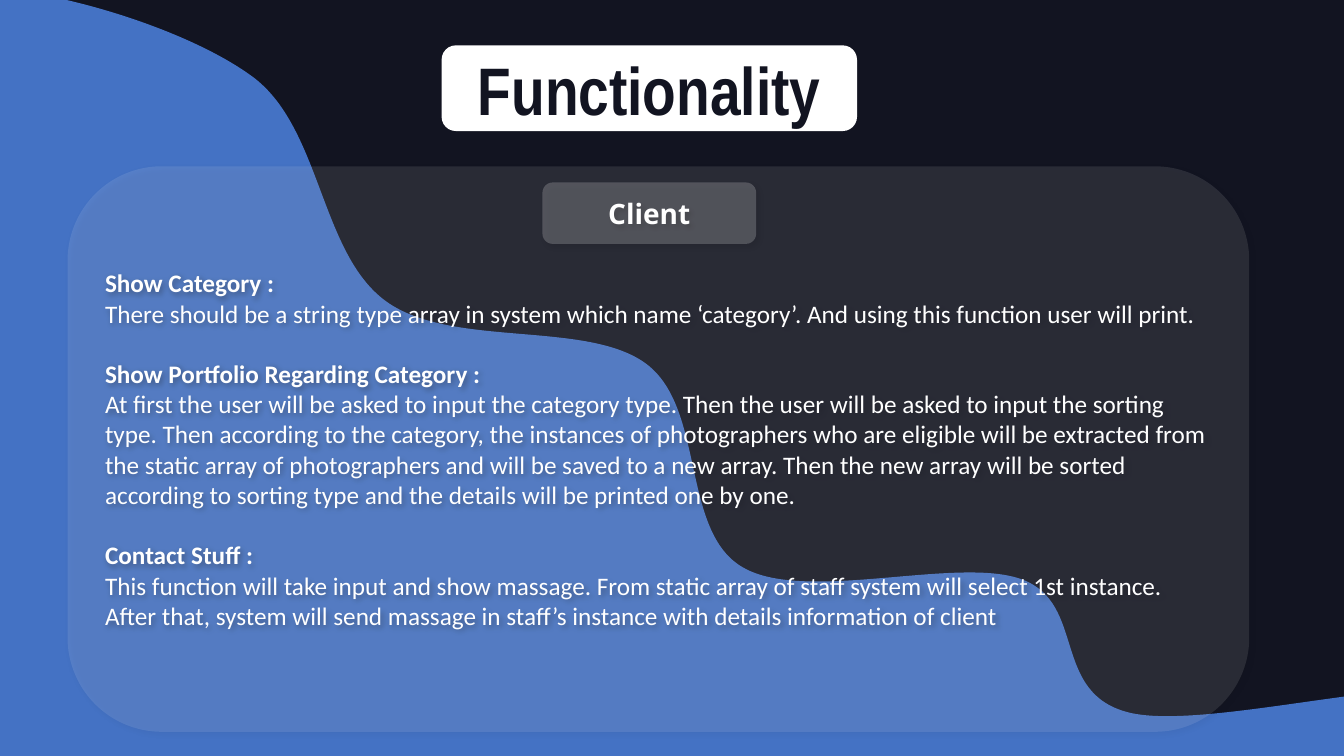
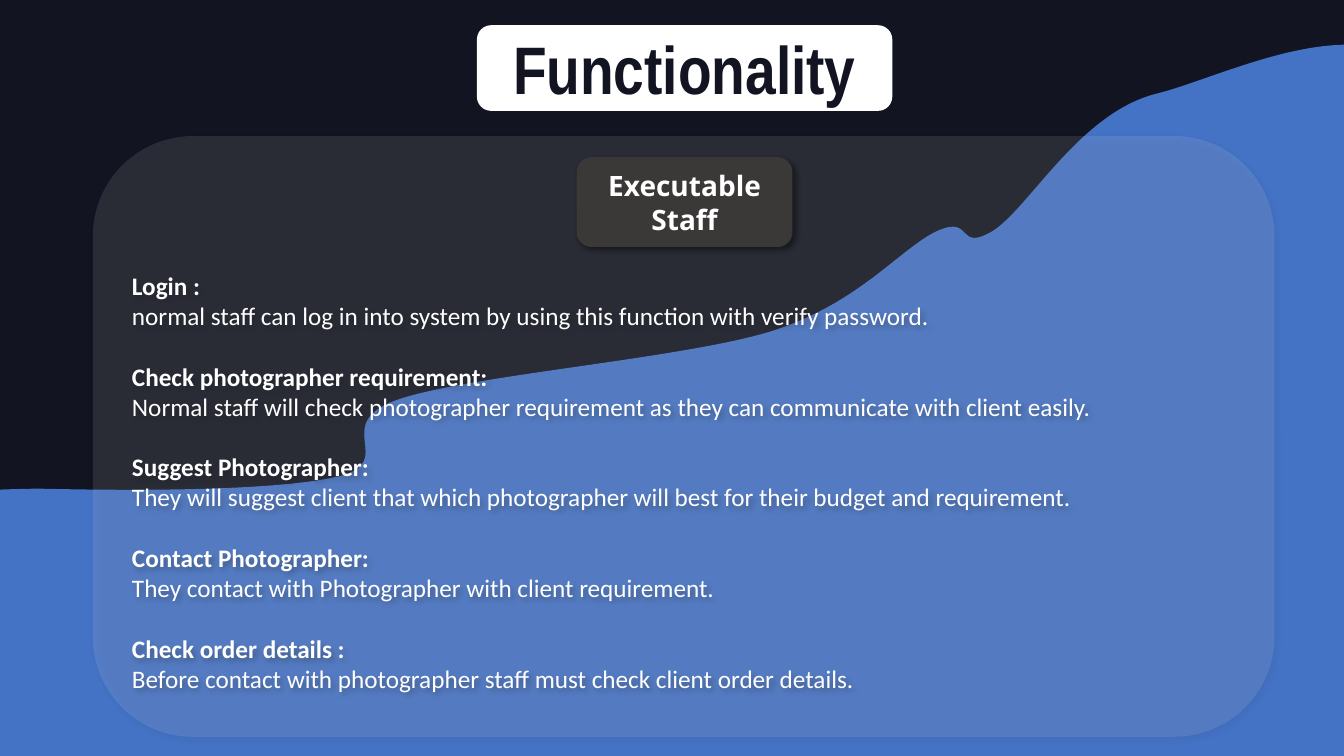
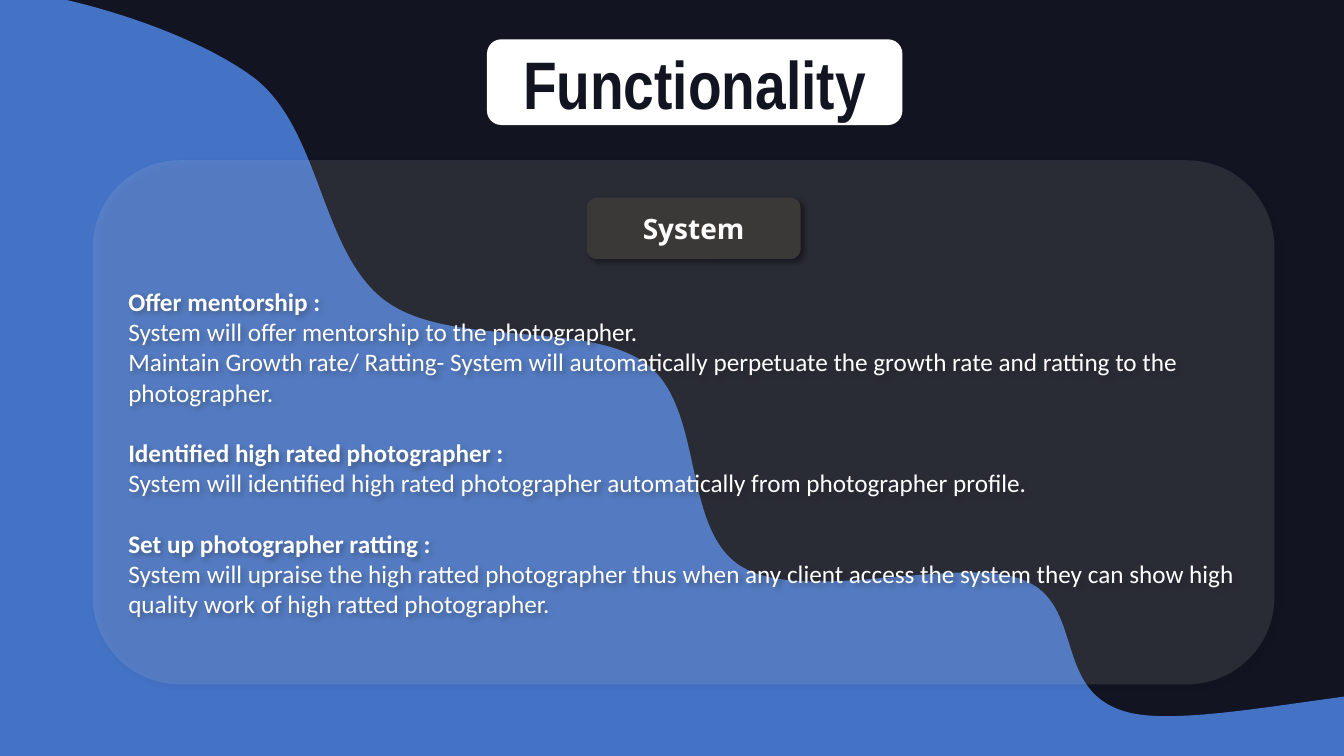
from lxml.etree import SubElement
from pptx import Presentation
from pptx.dml.color import RGBColor
from pptx.enum.shapes import MSO_SHAPE
from pptx.enum.text import MSO_ANCHOR, PP_ALIGN
from pptx.oxml.ns import qn
from pptx.util import Inches, Pt

NAVY = RGBColor(0x12, 0x14, 0x21)
BLUE = RGBColor(0x44, 0x72, 0xC4)
CHARCOAL = RGBColor(0x3B, 0x38, 0x38)
WHITE = RGBColor(0xFF, 0xFF, 0xFF)

TITLE_WIDTH, TITLE_HEIGHT = 4.12, 0.85
PANEL_WIDTH = 11.72
PANEL_INSET = 0.1
BODY_LINE = 21.6  # points taken by one line of body text

# A wave is its frame (left, top, width, height), its start point,
# then cubic curves: two control points and an end.
FALLING_WAVE = (
    (-1.56, -0.11, 16.9, 9.46),
    (-1.45, 2.71),
    (
        (-1.64, 1.55, -1.45, 1.35, -1.24, 0.88),
        (-1.02, 0.41, -0.81, -0.09, -0.18, -0.11),
        (0.45, -0.13, 1.86, 0.27, 2.53, 0.78),
        (3.19, 1.3, 3.18, 2.52, 3.83, 2.99),
        (4.48, 3.46, 5.82, 3.17, 6.41, 3.61),
        (7, 4.05, 6.75, 5.28, 7.37, 5.63),
        (7.99, 5.99, 9.51, 5.51, 10.14, 5.75),
        (10.78, 5.99, 10.42, 6.88, 11.2, 7.07),
        (11.98, 7.26, 14.19, 6.61, 14.83, 6.9),
        (15.48, 7.19, 15.44, 8.38, 15.07, 8.79),
        (14.71, 9.19, 15.09, 9.29, 12.65, 9.34),
        (10.21, 9.4, 2.29, 8.97, -0.06, 7.86),
        (-2.41, 6.76, -1.25, 3.87, -1.45, 2.71),
    ),
)
RISING_WAVE = (
    (-2.02, 0.44, 17.03, 9.23),
    (-1.61, 2.1),
    (
        (-1.87, 1.54, -2.23, 4.14, -1.88, 4.6),
        (-1.53, 5.06, -0.38, 4.83, 0.49, 4.85),
        (1.37, 4.87, 2.8, 4.87, 3.38, 4.72),
        (3.95, 4.57, 3.25, 4.2, 3.96, 3.96),
        (4.68, 3.72, 6.75, 3.56, 7.64, 3.29),
        (8.53, 3.01, 8.93, 2.46, 9.3, 2.29),
        (9.66, 2.13, 9.48, 2.51, 9.85, 2.29),
        (10.21, 2.06, 10.71, 1.12, 11.47, 0.93),
        (12.24, 0.74, 13.89, -0.18, 14.44, 1.15),
        (15, 2.47, 15.17, 7.51, 14.83, 8.89),
        (14.49, 10.28, 14.85, 9.39, 12.41, 9.45),
        (9.97, 9.51, 2.04, 9.19, -0.3, 7.97),
        (-2.63, 6.74, -1.35, 2.66, -1.61, 2.1),
    ),
)

CLIENT_FUNCTIONS = (
    ("Show Category :", (
        "There should be a string type array in system which name ‘category’. "
        "And using this function user will print.",)),
    ("Show Portfolio Regarding Category :", (
        "At first the user will be asked to input the category type. Then the user "
        "will be asked to input the sorting type. Then according to the category, "
        "the instances of photographers who are eligible will be extracted from the "
        "static array of photographers and will be saved to a new array. Then the "
        "new array will be sorted according to sorting type and the details will be "
        "printed one by one.",)),
    ("Contact Stuff :", (
        "This function will take input and show massage. From static array of staff "
        "system will select 1st instance. After that, system will send massage in "
        "staff’s instance with details information of client",)),
)
STAFF_FUNCTIONS = (
    ("Login :", (
        "normal staff can log in into system by using this function with verify "
        "password.",)),
    ("Check photographer requirement:", (
        "Normal staff will check photographer requirement as they can communicate "
        "with client easily.",)),
    ("Suggest Photographer:", (
        "They will suggest client that which photographer will best for their budget "
        "and requirement.",)),
    ("Contact Photographer:", (
        "They contact with Photographer with client requirement.",)),
    ("Check order details :", (
        "Before contact with photographer staff must check client order details.",)),
)
SYSTEM_FUNCTIONS = (
    ("Offer mentorship :", (
        "System will offer mentorship to the photographer.",
        "Maintain Growth rate/ Ratting- System will automatically perpetuate the "
        "growth rate and ratting to the photographer.")),
    ("Identified high rated photographer :", (
        "System will identified high rated photographer automatically from "
        "photographer profile.",)),
    ("Set up photographer ratting :", (
        "System will upraise the high ratted photographer thus when any client "
        "access the system they can show high quality work of high ratted "
        "photographer.",)),
)


def paint(shape, color, opacity=100):
    """Give a flat fill without outline or shadow."""
    shape.shadow.inherit = False
    shape.line.fill.background()
    shape.fill.solid()
    shape.fill.fore_color.rgb = color
    if opacity < 100:
        tint = shape.fill._xPr.find(qn("a:solidFill"))[0]
        SubElement(tint, qn("a:alpha"), val=str(opacity * 1000))


def add_soft_shadow(shape):
    effects = shape._element.spPr.find(qn("a:effectLst"))
    shadow = SubElement(effects, qn("a:outerShdw"), blurRad=str(Pt(4)), dist=str(Pt(3)),
                        dir="2700000", algn="tl", rotWithShape="0")
    color = SubElement(shadow, qn("a:srgbClr"), val="000000")
    SubElement(color, qn("a:alpha"), val="40000")


def set_font(para, name, size, color, bold):
    para.font.name = name
    para.font.size = Pt(size)
    para.font.color.rgb = color
    para.font.bold = bold


def add_rounded_box(page, left, top, width, height, color, opacity=100):
    box = page.shapes.add_shape(MSO_SHAPE.ROUNDED_RECTANGLE, Inches(left), Inches(top),
                                Inches(width), Inches(height))
    paint(box, color, opacity)
    box.text_frame.word_wrap = True
    box.text_frame.vertical_anchor = MSO_ANCHOR.MIDDLE
    return box


def add_label(page, center, top, width, height, text, font, fill, opacity=100):
    """Add a rounded box with one centred text; font is name, size and colour."""
    box = add_rounded_box(page, center - width / 2, top, width, height, fill, opacity)
    para = box.text_frame.paragraphs[0]
    para.text = text
    para.alignment = PP_ALIGN.CENTER
    set_font(para, *font, bold=True)
    return box


def add_title(page, center, top):
    add_label(page, center, top, TITLE_WIDTH, TITLE_HEIGHT, "Functionality",
              ("Arial Narrow", 48, NAVY), WHITE)


def add_badge(page, center, top, width, height, text, fill=CHARCOAL, opacity=100):
    badge = add_label(page, center, top, width, height, text,
                      ("Open Sans", 20, WHITE), fill, opacity)
    add_soft_shadow(badge)


def add_panel(page, left, top, height, functions, lines_above=0):
    """Add the translucent panel; lines_above keeps room for the badge."""
    panel = add_rounded_box(page, left, top, PANEL_WIDTH, height, WHITE, 10)
    add_soft_shadow(panel)
    frame = panel.text_frame
    frame.margin_left = frame.margin_right = frame.margin_bottom = Inches(PANEL_INSET)
    frame.margin_top = Inches(PANEL_INSET) + Pt(BODY_LINE * lines_above)
    para = frame.paragraphs[0]
    for number, (heading, details) in enumerate(functions):
        if number:
            para = frame.add_paragraph()
            para.space_before = Pt(BODY_LINE)
        para.text = heading
        para.alignment = PP_ALIGN.LEFT
        set_font(para, "Calibri", 18, WHITE, bold=True)
        for detail in details:
            para = frame.add_paragraph()
            para.text = detail
            para.alignment = PP_ALIGN.LEFT
            set_font(para, "Calibri", 18, WHITE, bold=False)


def add_wave(page, wave):
    """Add a closed outline and bend its straight segments into cubic curves."""
    (left, top, width, height), start, curves = wave
    builder = page.shapes.build_freeform(Inches(start[0]), Inches(start[1]))
    builder.add_line_segments([(Inches(x), Inches(y)) for *_, x, y in curves], close=True)
    shape = builder.convert_to_shape()
    shape.left, shape.top = Inches(left), Inches(top)
    shape.width, shape.height = Inches(width), Inches(height)

    outline = next(shape._element.iter(qn("a:path")))
    outline.set("w", str(shape.width))
    outline.set("h", str(shape.height))
    for child in list(outline):
        outline.remove(child)

    def add_command(name, numbers=()):
        command = SubElement(outline, qn(name))
        for x, y in zip(numbers[::2], numbers[1::2]):
            SubElement(command, qn("a:pt"), x=str(Inches(x - left)), y=str(Inches(y - top)))

    add_command("a:moveTo", start)
    for curve in curves:
        add_command("a:cubicBezTo", curve)
    add_command("a:close")
    paint(shape, BLUE)


def add_page(deck, wave):
    page = deck.slides.add_slide(deck.slide_layouts[6])
    page.background.fill.solid()
    page.background.fill.fore_color.rgb = NAVY
    add_wave(page, wave)
    return page


def main():
    deck = Presentation()
    deck.slide_width, deck.slide_height = Inches(13.33), Inches(7.5)

    client = add_page(deck, FALLING_WAVE)
    add_panel(client, 0.67, 1.65, 5.61, CLIENT_FUNCTIONS)
    add_badge(client, 6.44, 1.81, 2.12, 0.61, "Client", WHITE, 20)
    add_title(client, 6.44, 0.45)

    staff = add_page(deck, RISING_WAVE)
    add_panel(staff, 0.92, 1.35, 5.96, STAFF_FUNCTIONS, lines_above=3)
    add_badge(staff, 6.79, 1.56, 2.14, 0.89, "Executable Staff")
    add_title(staff, 6.79, 0.25)

    system = add_page(deck, FALLING_WAVE)
    add_panel(system, 0.92, 1.59, 5.2, SYSTEM_FUNCTIONS, lines_above=2)
    add_badge(system, 6.88, 1.96, 2.12, 0.61, "System")
    add_title(system, 6.89, 0.39)

    deck.save("out.pptx")


if __name__ == "__main__":
    main()
